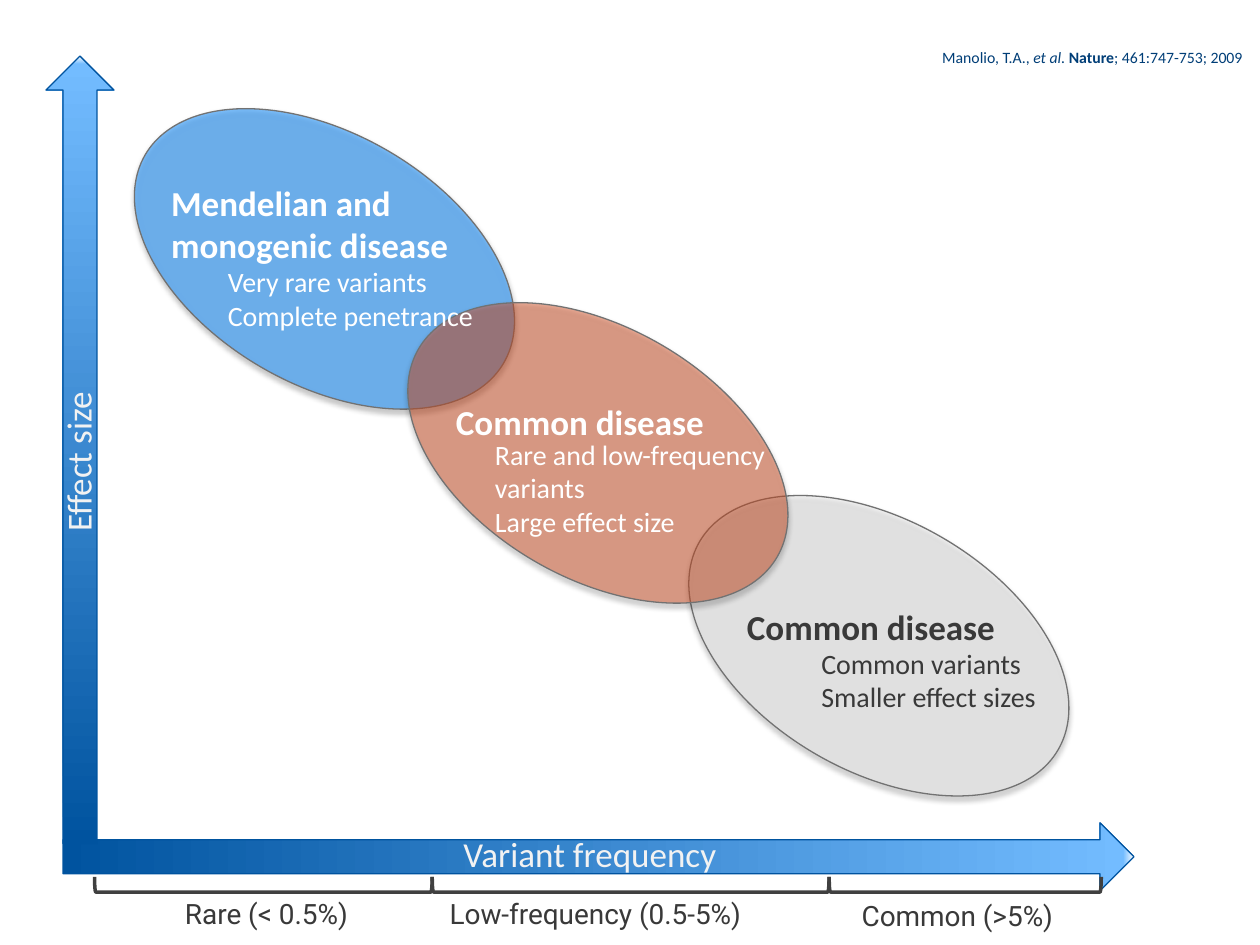
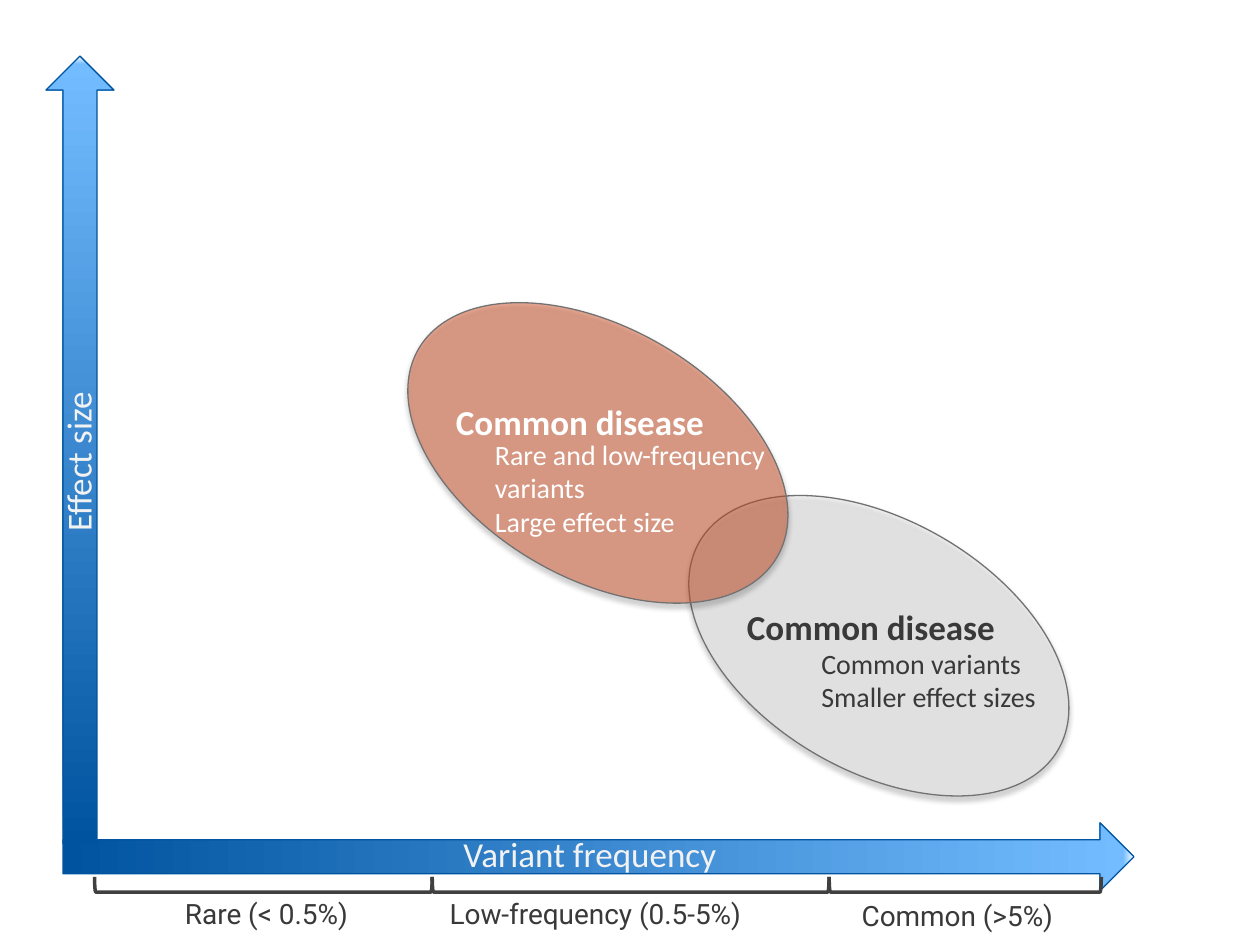
"""Build two slides that place disease classes by variant frequency and effect size."""
from dataclasses import dataclass
from itertools import pairwise

from pptx import Presentation
from pptx import util as u
from pptx.dml.color import RGBColor
from pptx.enum import shapes, text
from pptx.oxml import parse_xml
from pptx.oxml.ns import nsdecls, qn

BLUE, PALE_BLUE, NAVY = "00539F", "73BCFF", "003E77"
WHITE, OFF_WHITE, DARK = "FFFFFF", "F2F2F2", "393939"
OUTLINE, BRACKET = "727272", "404040"
GRADIENT = [(0, BLUE), (99, PALE_BLUE), (100, WHITE)]
ELLIPSE_W, ELLIPSE_H, ELLIPSE_TILT = 3.29, 1.99, 30.1
BRACKET_EDGES = [0.75, 3.43, 6.58, 8.74]
BRACKET_MID, BRACKET_DEPTH = 7.02, 0.12


@dataclass(frozen=True)
class Label:
    """Text box: position, lines, and format."""
    left: float
    top: float
    width: float
    height: float
    lines: tuple[str, ...]
    size: int = 20
    color: str = DARK
    bold: bool = False
    wrap: bool = False
    font: str = "Calibri"
    rotation: float = 0


@dataclass(frozen=True)
class Axis:
    """Gradient arrow with its caption."""
    left: float
    top: float
    width: float
    rotation: float
    caption: Label


@dataclass(frozen=True)
class Disease:
    """Tilted ellipse with a heading and details."""
    left: float
    top: float
    fill: str
    opacity: int
    heading: Label
    details: Label


AXES = [
    Axis(0.5, 6.53, 8.5, 0,
         Label(3.58, 6.56, 2.25, 0.44, ("Variant frequency",), color=OFF_WHITE)),
    Axis(-2.49, 3.3, 6.25, 270,
         Label(-0.05, 3.43, 1.34, 0.44, ("Effect size",), color=OFF_WHITE, rotation=270)),
]
MENDELIAN = Disease(
    0.93, 1.06, "2C9AFF", 60,
    Label(1.26, 1.39, 2.83, 0.77, ("Mendelian and", "monogenic disease"),
          color=WHITE, bold=True, wrap=True),
    Label(1.71, 2.05, 2.18, 0.64, ("Very rare variants", "Complete penetrance"), 16, WHITE))
COMMON_SMALL = Disease(
    5.33, 4.13, "EFEFEF", 48,
    Label(5.83, 4.76, 2.19, 0.44, ("Common disease",), bold=True),
    Label(6.42, 5.08, 1.91, 0.91, ("Common variants Smaller effect sizes",), 16, wrap=True))
COMMON_LARGE = Disease(
    3.1, 2.6, "DA562A", 48,
    Label(3.52, 3.13, 2.19, 0.44, ("Common disease",), color=WHITE, bold=True),
    Label(3.83, 3.42, 2.41, 0.91, ("Rare and low-frequency variants", "Large effect size"),
          16, WHITE, wrap=True))
FREQUENCIES = [
    Label(1.37, 7.07, 1.6, 0.37, ("Rare (< 0.5%)",), 16, font="Roboto"),
    Label(3.47, 7.07, 2.6, 0.37, ("Low-frequency (0.5-5%)",), 16, font="Roboto"),
    Label(6.74, 7.08, 1.78, 0.37, ("Common (>5%)",), 16, font="Roboto"),
]
CITATION = [("Manolio, T.A., ", {}), ("et al. ", {"italic": True}),
            ("Nature", {"bold": True}), ("; 461:747-753; 2009", {})]


def rgb(color: str) -> RGBColor:
    """Turn a hex string into a colour."""
    return RGBColor.from_string(color)


def add_run(p, content: str, color: str, **formats) -> None:
    """Add a run with the given font values."""
    r = p.add_run()
    r.text = content
    r.font.color.rgb = rgb(color)
    for name, value in formats.items():
        setattr(r.font, name, value)


def add_box(s, left: float, top: float, width: float, height: float, wrap: bool):
    """Add a text box that grows with its text."""
    sp = s.shapes.add_textbox(*map(u.Inches, (left, top, width, height)))
    sp.text_frame.word_wrap = wrap
    sp.text_frame.auto_size = text.MSO_AUTO_SIZE.SHAPE_TO_FIT_TEXT
    return sp


def add_label(s, label: Label) -> None:
    """Draw a label, one paragraph a line."""
    sp = add_box(s, label.left, label.top, label.width, label.height, label.wrap)
    sp.rotation = label.rotation
    tf = sp.text_frame
    for i, line in enumerate(label.lines):
        p = tf.add_paragraph() if i else tf.paragraphs[0]
        add_run(p, line, label.color, name=label.font, size=u.Pt(label.size), bold=label.bold)


def add_outlined(s, kind, left: float, top: float, width: float, height: float,
                 rotation: float, line: str, weight: float):
    """Add a rotated preset shape with an outline and no shadow."""
    sp = s.shapes.add_shape(kind, *map(u.Inches, (left, top, width, height)))
    sp.rotation = rotation
    sp.line.color.rgb = rgb(line)
    sp.line.width = u.Pt(weight)
    sp.shadow.inherit = False
    return sp


def add_axis(s, axis: Axis) -> None:
    """Draw a gradient arrow and its caption."""
    sp = add_outlined(s, shapes.MSO_SHAPE.RIGHT_ARROW, axis.left, axis.top, axis.width, 0.54,
                      axis.rotation, BLUE, 0.75)
    stops = "".join(f'<a:gs pos="{pos * 1000}"><a:srgbClr val="{color}"/></a:gs>'
                    for pos, color in GRADIENT)
    grad = parse_xml(f'<a:gradFill {nsdecls("a")} rotWithShape="1"><a:gsLst>{stops}</a:gsLst>'
                     '<a:lin ang="0" scaled="0"/></a:gradFill>')
    sp._element.spPr.find(qn("a:prstGeom")).addnext(grad)
    add_label(s, axis.caption)


def add_ellipse(s, disease: Disease) -> None:
    """Draw a translucent tilted ellipse with a soft shadow."""
    sp = add_outlined(s, shapes.MSO_SHAPE.OVAL, disease.left, disease.top, ELLIPSE_W, ELLIPSE_H,
                      ELLIPSE_TILT, OUTLINE, 0.75)
    sp.fill.solid()
    sp.fill.fore_color.rgb = rgb(disease.fill)
    spPr = sp._element.spPr
    color = spPr.find(qn("a:solidFill")).find(qn("a:srgbClr"))
    color.append(parse_xml(f'<a:alpha {nsdecls("a")} val="{disease.opacity * 1000}"/>'))
    spPr.find(qn("a:effectLst")).append(parse_xml(
        f'<a:outerShdw {nsdecls("a")} blurRad="{u.Pt(3.1)}" dist="{u.Pt(1.8)}" dir="5400000" '
        'rotWithShape="0"><a:srgbClr val="000000"><a:alpha val="35000"/></a:srgbClr>'
        '</a:outerShdw>'))


def add_bracket(s, start: float, end: float) -> None:
    """Draw a bracket below the frequency axis from start to end."""
    length = end - start
    sp = add_outlined(s, shapes.MSO_SHAPE.RIGHT_BRACKET, (start + end - BRACKET_DEPTH) / 2,
                      BRACKET_MID - length / 2, BRACKET_DEPTH, length, 90, BRACKET, 2)
    sp.fill.background()


def add_citation(s) -> None:
    """Draw the right-aligned source line."""
    p = add_box(s, 7.13, 0.33, 2.83, 0.25, True).text_frame.paragraphs[0]
    p.alignment = text.PP_ALIGN.RIGHT
    for content, formats in CITATION:
        add_run(p, content, NAVY, name="Calibri", size=u.Pt(9), **formats)


def add_diagram(prs, diseases: list[Disease]):
    """Add a slide with both axes, the given diseases and the frequency classes."""
    s = prs.slides.add_slide(prs.slide_layouts[6])
    for axis in AXES:
        add_axis(s, axis)
    for disease in diseases:
        add_ellipse(s, disease)
    for disease in diseases:
        add_label(s, disease.heading)
        add_label(s, disease.details)
    for start, end in pairwise(BRACKET_EDGES):
        add_bracket(s, start, end)
    for label in FREQUENCIES:
        add_label(s, label)
    return s


def main() -> None:
    """Build and save the presentation."""
    prs = Presentation()
    prs.slide_width, prs.slide_height = u.Inches(10), u.Inches(7.5)
    add_citation(add_diagram(prs, [MENDELIAN, COMMON_SMALL, COMMON_LARGE]))
    add_diagram(prs, [COMMON_SMALL, COMMON_LARGE])
    prs.save("out.pptx")


if __name__ == "__main__":
    main()
